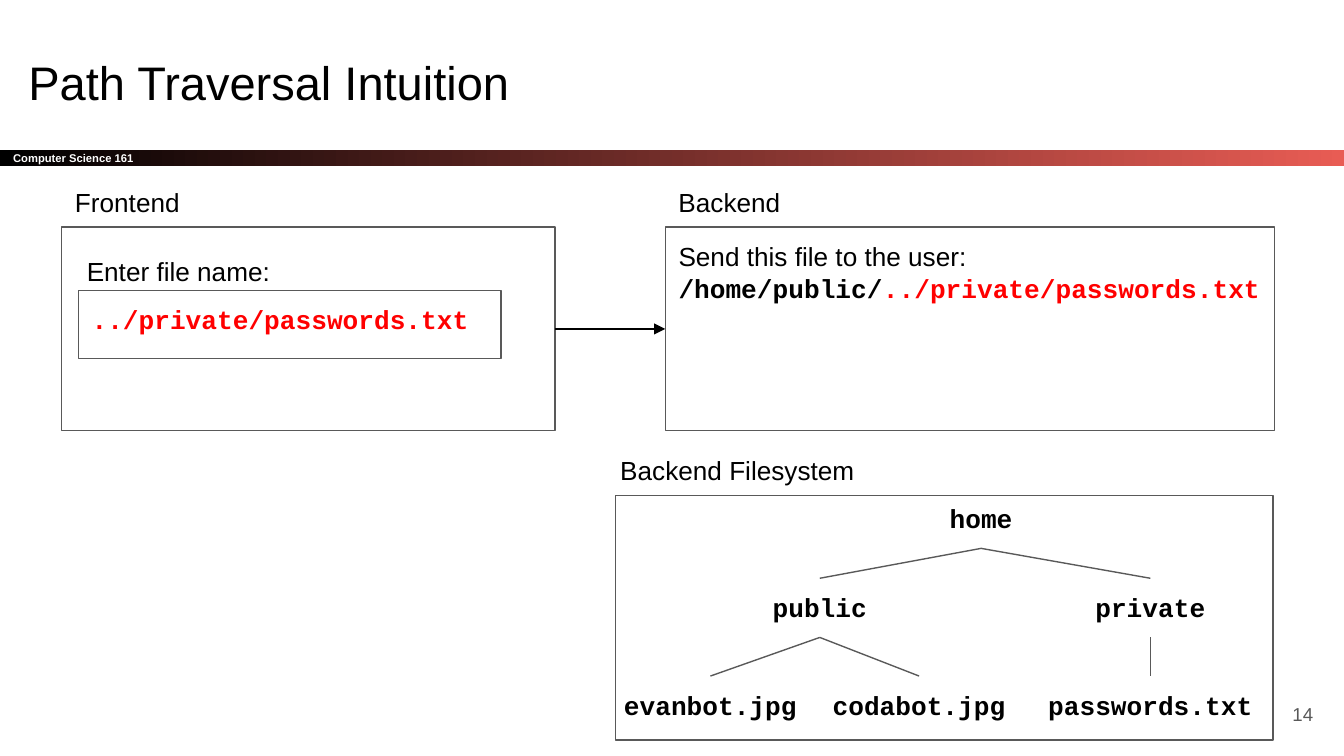
from pptx import Presentation
from pptx.dml.color import RGBColor
from pptx.enum.shapes import MSO_CONNECTOR as Connector, MSO_SHAPE as Shape
from pptx.enum.text import MSO_ANCHOR as Anchor, MSO_AUTO_SIZE as AutoSize, PP_ALIGN as Align
from pptx.oxml.ns import qn
from pptx.util import Pt
from lxml.etree import SubElement

SANS, MONO = "Arial", "Courier New"
BLACK, GREY, RED, WHITE = "000000", "595959", "FF0000", "FFFFFF"
BOTTOM, LEFT, RIGHT, TOP = 2, 1, 3, 0
INSET = 7.2
LABEL_HEIGHT = 31.7
MONO_ADVANCE = 8.4  # width of one 14 pt monospace character


def color(hex_string):
    return RGBColor.from_string(hex_string)


def add_run(paragraph, text, size=14, font=SANS, fill=BLACK, bold=False):
    run = paragraph.add_run()
    run.text = text
    run.font.size = Pt(size)
    run.font.name = font
    run.font.bold = bold
    run.font.color.rgb = color(fill)


def write(shape, *lines, align=Align.LEFT, anchor=Anchor.TOP, **style):
    """Each line is a string, or a list of (text, run format) pairs."""
    frame = shape.text_frame
    frame.word_wrap = True
    frame.auto_size = AutoSize.NONE
    frame.vertical_anchor = anchor
    frame.margin_left = frame.margin_right = Pt(INSET)
    frame.margin_top = frame.margin_bottom = Pt(INSET)
    for index, line in enumerate(lines):
        paragraph = frame.add_paragraph() if index else frame.paragraphs[0]
        paragraph.alignment = align
        for text, extra in [(line, {})] if isinstance(line, str) else line:
            add_run(paragraph, text, **{**style, **extra})


class SlideBuilder:
    line_color, line_width = GREY, 0.75

    def __init__(self, slide):
        self.slide = slide

    def title(self, text, left, top, width, height):
        shape = self.slide.shapes.title
        shape.left, shape.top, shape.width, shape.height = map(Pt, (left, top, width, height))
        write(shape, text, size=25.2)

    def banner(self, text, left, top, width, height):
        shape = self.box(left, top, width, height)
        shape.line.fill.background()
        shape.fill.gradient()
        shape.fill.gradient_angle = 0
        for stop, shade in zip(shape.fill.gradient_stops, (BLACK, "E85C54")):
            stop.color.rgb = color(shade)
        write(shape, text, size=6, fill=WHITE, bold=True, anchor=Anchor.MIDDLE)

    def box(self, left, top, width, height):
        shape = self.slide.shapes.add_shape(Shape.RECTANGLE, *map(Pt, (left, top, width, height)))
        shape.shadow.inherit = False
        shape.fill.background()
        shape.line.color.rgb = color(self.line_color)
        shape.line.width = Pt(self.line_width)
        return shape

    def label(self, text, left, top, width=269.3, height=LABEL_HEIGHT, **style):
        shape = self.slide.shapes.add_textbox(*map(Pt, (left, top, width, height)))
        write(shape, text, **style)
        return shape

    def node(self, text, center, top):
        width = len(text) * MONO_ADVANCE + 2 * INSET + 4
        return self.label(text, center - width / 2, top, width,
                          align=Align.CENTER, font=MONO, bold=True)

    def link(self, start, start_side, end, end_side, line=GREY, width=0.75, arrow=False):
        connector = self.slide.shapes.add_connector(Connector.STRAIGHT, 0, 0, 0, 0)
        connector.begin_connect(start, start_side)
        connector.end_connect(end, end_side)
        connector.line.color.rgb = color(line)
        connector.line.width = Pt(width)
        properties = connector._element.spPr
        if arrow:
            SubElement(properties.find(qn("a:ln")), qn("a:tailEnd"), type="triangle")
        SubElement(properties, qn("a:effectLst"))


def main():
    presentation = Presentation()
    presentation.slide_width, presentation.slide_height = Pt(720), Pt(405)
    builder = SlideBuilder(presentation.slides.add_slide(presentation.slide_layouts[5]))

    # Header and page number
    builder.banner("Computer Science 161", 0, 80.2, 720, 8.6)
    builder.title("Path Traversal Intuition", 8, 21.6, 671, 45.4)
    builder.label("14", 667.4, 367.2, 43.2, 31, size=10, fill=GREY,
                  align=Align.RIGHT, anchor=Anchor.MIDDLE)

    # Frontend form
    file_name = "../private/passwords.txt"
    builder.label("Frontend", 33.1, 92.9)
    frontend = builder.box(33.1, 121.7, 264.2, 109.1)
    field = builder.box(42, 155.5, 226.5, 36.7)
    write(field, file_name, font=MONO, fill=RED, bold=True)
    builder.label("Enter file name:", 39.4, 129.6, 186.5)

    # Backend request
    builder.label("Backend", 356.4, 92.9)
    backend = builder.box(356.4, 121.7, 326.4, 109.1)
    code = {"font": MONO, "bold": True}
    write(backend, "Send this file to the user:",
          [("/home/public/", code), (file_name, {**code, "fill": RED})])
    builder.link(frontend, RIGHT, backend, LEFT, line=BLACK, width=1.5, arrow=True)

    # Backend filesystem tree: name, parent, center, level
    builder.label("Backend Filesystem", 325.2, 236.2)
    builder.box(329.8, 265.5, 352.2, 131)
    level_tops = (262.1, 309.8, 362.2)
    tree = [
        ("home", None, 525.6, 0),
        ("public", "home", 439.2, 1),
        ("private", "home", 616.3, 1),
        ("evanbot.jpg", "public", 380.6, 2),
        ("codabot.jpg", "public", 492.4, 2),
        ("passwords.txt", "private", 616.3, 2),
    ]
    nodes = {}
    for name, parent, center, level in tree:
        nodes[name] = builder.node(name, center, level_tops[level])
        if parent:
            builder.link(nodes[parent], BOTTOM, nodes[name], TOP)

    presentation.save("out.pptx")


if __name__ == "__main__":
    main()
